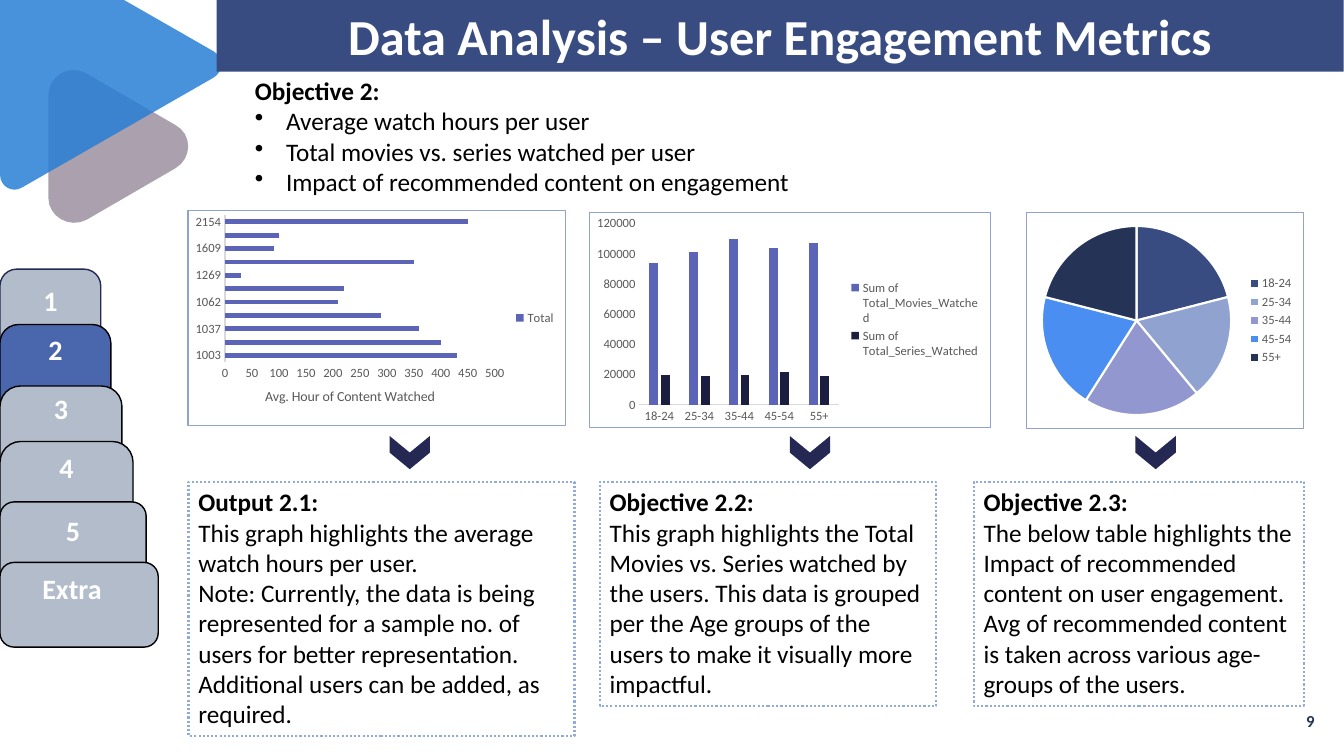
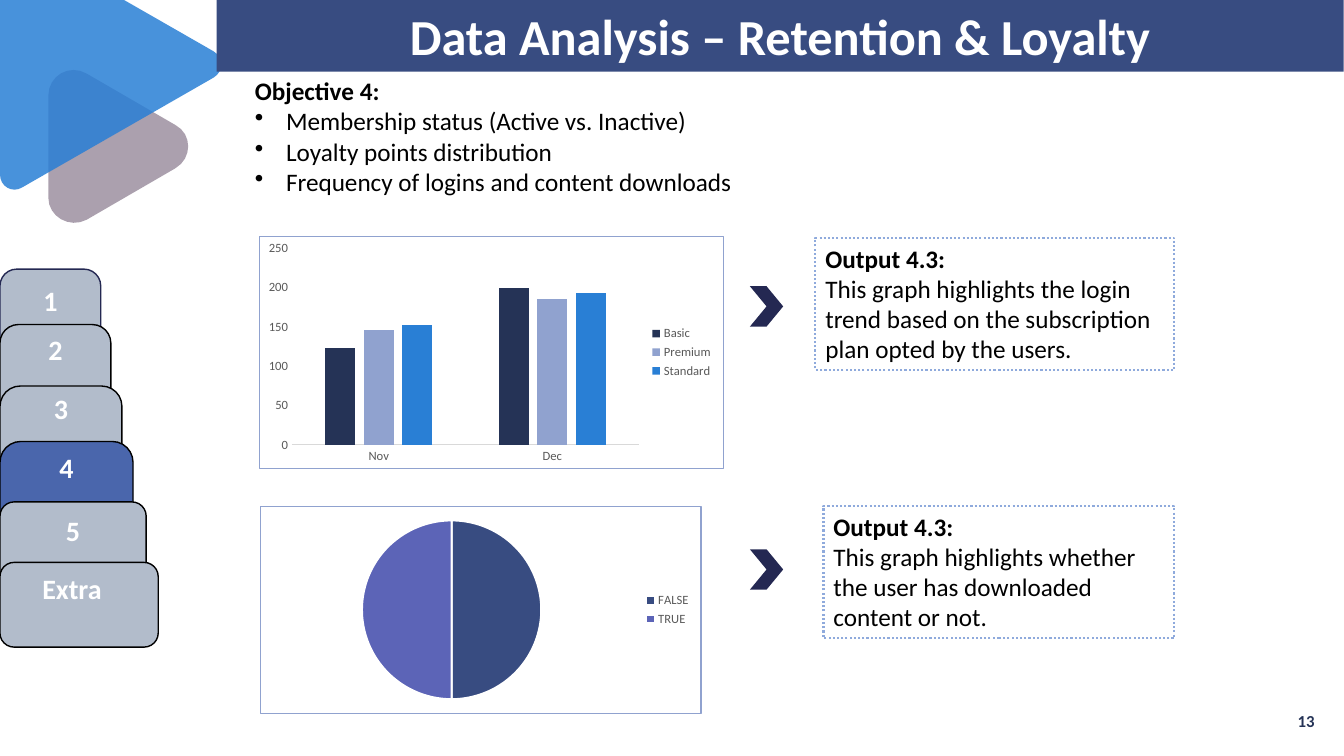
"""Build the two data analysis slides."""
import dataclasses

import lxml.etree
import pptx
import pptx.chart.data
import pptx.dml.color
import pptx.enum.chart
import pptx.enum.dml
import pptx.enum.shapes
import pptx.enum.text
import pptx.oxml
import pptx.oxml.ns
import pptx.util

SHAPES = pptx.enum.shapes.MSO_SHAPE
ALIGN = pptx.enum.text.PP_ALIGN
ANCHOR = pptx.enum.text.MSO_ANCHOR
CHARTS = pptx.enum.chart.XL_CHART_TYPE
EMU_PER_PX = 9144


@dataclasses.dataclass(frozen=True)
class Theme:
    """Colours, font and type sizes of the slides."""
    font: str = "Calibri"
    white: str = "FFFFFF"
    black: str = "000000"
    band: str = "384C81"
    navy: str = "253356"
    ink: str = "242852"
    midnight: str = "1B1E3E"
    mauve: str = "9D90A0"
    sky: str = "297FD5"
    azure: str = "4A8EF2"
    indigo: str = "5C64B7"
    lavender: str = "9297CF"
    periwinkle: str = "90A2CF"
    dotted: str = "8FAADC"
    tab: str = "B2BCCB"
    active_tab: str = "4A66AC"
    chart_text: str = "595959"
    axis: str = "D9D9D9"
    title_size: int = 36
    tab_size: int = 20
    body_size: int = 18
    footer_size: int = 12
    chart_title_size: int = 10
    chart_size: int = 9


THEME = Theme()

SMALL_TRIANGLE = [
    (48, 146), (48, 95), (48, 75, 69, 63, 86, 73), (174, 124),
    (191, 133, 191, 157, 174, 167), (86, 218), (69, 227, 48, 215, 48, 196),
]
LARGE_TRIANGLE = [
    (0, 0), (123, 0), (212, 51), (222, 57, 222, 71, 212, 77),
    (22, 186), (12, 192, 0, 185, 0, 173),
]
# label, top, width, height, text inset from the top, text inset from the right
TABS = [
    ("1", 267, 100, 244, 9, 0),
    ("2", 322, 110, 244, 3, 0),
    ("3", 383, 121, 244, 0, 0),
    ("4", 438, 132, 124, 3, 0),
    ("5", 498, 145, 84, 7, 0),
    ("Extra", 558, 157, 84, 5, 14),
]


def px(length):
    """Turn a length in px into EMU."""
    return round(length * EMU_PER_PX)


def rgb(colour):
    """Turn a hex string into a colour."""
    return pptx.dml.color.RGBColor.from_string(colour)


def trace(outline, steps=8):
    """Turn an outline of corners and cubic curves into points."""
    points = []
    for part in outline:
        if len(part) == 2:
            points.append(part)
            continue
        controls = [points[-1], part[:2], part[2:4], part[4:]]
        for step in range(1, steps + 1):
            t = step / steps
            weights = ((1 - t) ** 3, 3 * t * (1 - t) ** 2, 3 * t * t * (1 - t), t ** 3)
            points.append(tuple(
                sum(weight * control[axis] for weight, control in zip(weights, controls))
                for axis in (0, 1)))
    return points


class Deck:
    """Hold the presentation, its style and the current slide."""

    def __init__(self, theme):
        """Start an empty wide presentation."""
        self.theme = theme
        self.presentation = pptx.Presentation()
        self.presentation.slide_width = px(1333.33)
        self.presentation.slide_height = px(750)
        self.slide = None

    def new_slide(self, title, number, active):
        """Add a slide with its triangles, title band, number and tabs."""
        self.slide = self.presentation.slides.add_slide(self.presentation.slide_layouts[6])
        self.triangle(SMALL_TRIANGLE, self.theme.mauve)
        self.triangle(LARGE_TRIANGLE, self.theme.sky)
        band = self.shape(SHAPES.RECTANGLE, (215, 0, 1118, 71), self.theme.band)
        self.put_text(band, title, self.theme.title_size, self.theme.white, True,
                      ALIGN.CENTER, ANCHOR.MIDDLE)
        footer = self.slide.shapes.add_textbox(*map(px, (1167, 695, 147, 40)))
        self.put_text(footer, number, self.theme.footer_size, self.theme.navy, True,
                      ALIGN.RIGHT, ANCHOR.MIDDLE)
        self.tabs(active)

    def style(self, shape, fill=None, line=None, width=1):
        """Set the fill and line of a shape and drop its shadow."""
        shape.shadow.inherit = False
        if fill:
            shape.fill.solid()
            shape.fill.fore_color.rgb = rgb(fill)
        else:
            shape.fill.background()
        if line:
            shape.line.color.rgb = rgb(line)
            shape.line.width = pptx.util.Pt(width)
        else:
            shape.line.fill.background()

    def shape(self, kind, box, fill=None, line=None, width=1):
        """Add a preset shape."""
        shape = self.slide.shapes.add_shape(kind, *map(px, box))
        self.style(shape, fill, line, width)
        return shape

    def triangle(self, outline, colour):
        """Add a translucent rounded triangle."""
        points = [(px(x), px(y)) for x, y in trace(outline)]
        builder = self.slide.shapes.build_freeform(*points[0], scale=1.0)
        builder.add_line_segments(points[1:], close=True)
        shape = builder.convert_to_shape()
        self.style(shape, colour)
        fill = shape.element.spPr.find(pptx.oxml.ns.qn("a:solidFill"))
        lxml.etree.SubElement(fill[0], pptx.oxml.ns.qn("a:alpha"), val="85000")

    def put_text(self, shape, text, size, colour, bold=False,
                 align=ALIGN.LEFT, anchor=ANCHOR.TOP):
        """Put text in a shape and format it."""
        frame = shape.text_frame
        frame.text = text
        frame.word_wrap = True
        frame.vertical_anchor = anchor
        for paragraph in frame.paragraphs:
            paragraph.alignment = align
            for run in paragraph.runs:
                run.font.name = self.theme.font
                run.font.size = pptx.util.Pt(size)
                run.font.bold = bold
                run.font.color.rgb = rgb(colour)

    def headed_text(self, shape, heading, lines):
        """Put a bold heading and plain lines in a shape."""
        self.put_text(shape, "\n".join([heading, *lines]), self.theme.body_size, self.theme.black)
        first, *others = shape.text_frame.paragraphs
        first.runs[0].font.bold = True
        return others

    def objective(self, heading, lines):
        """Add the heading and bullets under the title."""
        shape = self.slide.shapes.add_textbox(*map(px, (243, 70, 697, 131)))
        for paragraph in self.headed_text(shape, heading, lines):
            properties = paragraph._p.get_or_add_pPr()
            properties.set("marL", str(px(31)))
            properties.set("indent", str(-px(31)))
            lxml.etree.SubElement(properties, pptx.oxml.ns.qn("a:buChar"), char="•")

    def note(self, box, heading, *lines):
        """Add a text in a dotted frame."""
        shape = self.shape(SHAPES.RECTANGLE, box, line=self.theme.dotted, width=1.5)
        shape.line.dash_style = pptx.enum.dml.MSO_LINE.ROUND_DOT
        self.headed_text(shape, heading, lines)

    def chevron(self, left, top, rotation=0):
        """Add a chevron that leads from a chart to its note."""
        shape = self.shape(SHAPES.CHEVRON, (left, top, 33, 40), self.theme.ink)
        shape.rotation = rotation

    def tabs(self, active):
        """Add the stack of tabs with the active one marked."""
        for index, (label, top, width, height, inset, right) in enumerate(TABS):
            fill = self.theme.active_tab if label == active else self.theme.tab
            line = self.theme.black if index else self.theme.ink
            shape = self.shape(SHAPES.ROUNDED_RECTANGLE, (0, top, width, height), fill, line)
            self.put_text(shape, label, self.theme.tab_size, self.theme.white, True, ALIGN.CENTER)
            frame = shape.text_frame
            frame.margin_left = frame.margin_bottom = 0
            frame.margin_top, frame.margin_right = px(inset), px(right)

    def chart(self, kind, box, categories, series):
        """Add a framed chart with its legend on the right."""
        data = pptx.chart.data.CategoryChartData()
        data.categories = categories
        for name, values in series:
            data.add_series(name, values)
        chart = self.slide.shapes.add_chart(kind, *map(px, box), data).chart
        chart.has_title = False
        chart.has_legend = True
        chart.legend.position = pptx.enum.chart.XL_LEGEND_POSITION.RIGHT
        chart.legend.include_in_layout = False
        for font in (chart.font, chart.legend.font):
            self.chart_font(font, self.theme.chart_size)
        frame = pptx.oxml.parse_xml(
            f'<c:spPr {pptx.oxml.ns.nsdecls("c", "a")}>'
            f'<a:solidFill><a:srgbClr val="{self.theme.white}"/></a:solidFill>'
            f'<a:ln w="9525"><a:solidFill><a:srgbClr val="{self.theme.periwinkle}"/>'
            '</a:solidFill></a:ln></c:spPr>')
        chart.element.find(pptx.oxml.ns.qn("c:chart")).addnext(frame)
        return chart

    def chart_font(self, font, size):
        """Set the font of a part of a chart."""
        font.name = self.theme.font
        font.size = pptx.util.Pt(size)
        font.bold = False
        font.color.rgb = rgb(self.theme.chart_text)

    def bars(self, kind, box, categories, series, colours, gap=219, overlap=-27, title=None):
        """Add a bar or column chart."""
        chart = self.chart(kind, box, categories, series)
        plot = chart.plots[0]
        plot.vary_by_categories = False
        plot.gap_width, plot.overlap = gap, overlap
        for item, colour in zip(plot.series, colours):
            item.format.fill.solid()
            item.format.fill.fore_color.rgb = rgb(colour)
        for axis in (chart.category_axis, chart.value_axis):
            axis.has_major_gridlines = False
            axis.major_tick_mark = pptx.enum.chart.XL_TICK_MARK.NONE
            self.chart_font(axis.tick_labels.font, self.theme.chart_size)
        chart.category_axis.format.line.color.rgb = rgb(self.theme.axis)
        chart.value_axis.format.line.fill.background()
        if title:
            frame = chart.value_axis.axis_title.text_frame
            frame.text = title
            self.chart_font(frame.paragraphs[0].runs[0].font, self.theme.chart_title_size)

    def pie(self, box, categories, values, colours):
        """Add a pie chart with white gaps between its slices."""
        chart = self.chart(CHARTS.PIE, box, categories, [("Series 1", values)])
        for index, colour in enumerate(colours):
            style = chart.plots[0].series[0].points[index].format
            style.fill.solid()
            style.fill.fore_color.rgb = rgb(colour)
            style.line.color.rgb = rgb(self.theme.white)
            style.line.width = pptx.util.Pt(1.5)


def engagement(deck):
    """Build the slide on user engagement."""
    theme = deck.theme
    ages = ["18-24", "25-34", "35-44", "45-54", "55+"]
    deck.new_slide("Data Analysis – User Engagement Metrics", "9", "2")
    deck.objective("Objective 2:", [
        "Average watch hours per user", "Total movies vs. series watched per user",
        "Impact of recommended content on engagement"])
    users = ["1003", "1035", "1037", "1050", "1062", "1260",
             "1269", "1539", "1609", "1784", "2154"]
    hours = [430, 400, 360, 290, 210, 220, 30, 350, 90, 100, 450]
    deck.bars(CHARTS.BAR_CLUSTERED, (186, 208, 376, 215), users, [("Total", hours)],
              [theme.indigo], 182, 0, "Avg. Hour of Content Watched")
    deck.bars(CHARTS.COLUMN_CLUSTERED, (584, 210, 399, 215), ages, [
        ("Sum of Total_Movies_Watched", [94000, 101000, 110000, 104000, 107000]),
        ("Sum of Total_Series_Watched", [20000, 19000, 20000, 22000, 19000]),
    ], [theme.indigo, theme.midnight])
    deck.pie((1018, 210, 276, 216), ages, [21, 18, 20, 20, 21],
             [theme.band, theme.periwinkle, theme.lavender, theme.azure, theme.navy])
    for left in (390, 787, 1130):
        deck.chevron(left, 429, 90)
    deck.note((187, 478, 383, 252), "Output 2.1:",
              "This graph highlights the average watch hours per user.",
              "Note: Currently, the data is being represented for a sample no. of users for "
              "better representation. Additional users can be added, as required.")
    deck.note((595, 478, 334, 222), "Objective 2.2:",
              "This graph highlights the Total Movies vs. Series watched by the users. This data "
              "is grouped per the Age groups of the users to make it visually more impactful.")
    deck.note((966, 478, 328, 222), "Objective 2.3:",
              "The below table highlights the Impact of recommended content on user engagement. "
              "Avg of recommended content is taken across various age-groups of the users.")


def retention(deck):
    """Build the slide on retention and loyalty."""
    theme = deck.theme
    deck.new_slide("Data Analysis – Retention & Loyalty", "13", "4")
    deck.objective("Objective 4:", [
        "Membership status (Active vs. Inactive)", "Loyalty points distribution",
        "Frequency of logins and content downloads"])
    deck.bars(CHARTS.COLUMN_CLUSTERED, (257, 234, 461, 231), ["Nov", "Dec"], [
        ("Basic", [123, 200]), ("Premium", [146, 186]), ("Standard", [152, 193]),
    ], [theme.navy, theme.periwinkle, theme.sky])
    deck.pie((258, 502, 438, 206), ["FALSE", "TRUE"], [50, 50], [theme.band, theme.indigo])
    for top in (284, 545):
        deck.chevron(744, top)
    deck.note((809, 236, 356, 131), "Output 4.3:",
              "This graph highlights the login trend based on the subscription plan "
              "opted by the users.")
    deck.note((817, 502, 348, 131), "Output 4.3:",
              "This graph highlights whether the user has downloaded content or not.")


def main():
    """Build and save the presentation."""
    deck = Deck(THEME)
    engagement(deck)
    retention(deck)
    deck.presentation.save("out.pptx")


if __name__ == "__main__":
    main()
